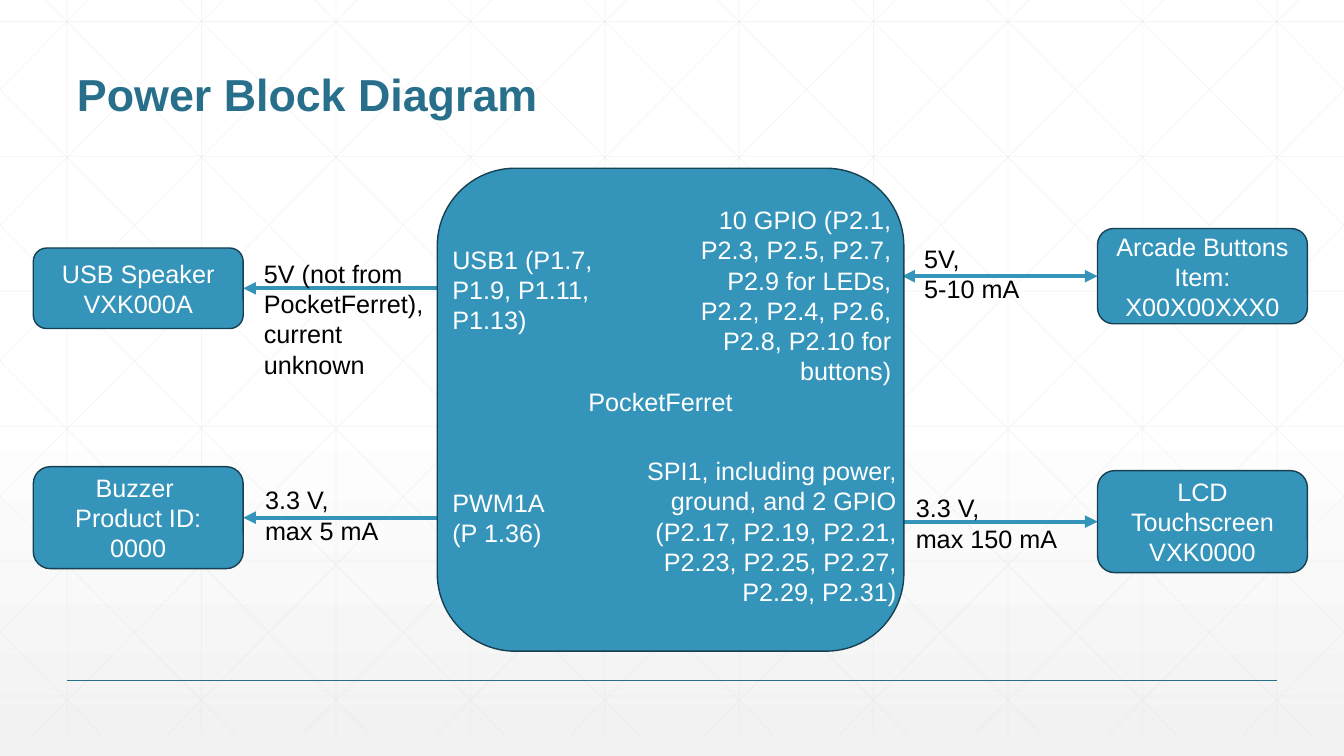
import pptx
import pptx.util
import pptx.dml.color
import pptx.enum.text
import pptx.enum.shapes
from lxml import etree

Cm, Pt = pptx.util.Cm, pptx.util.Pt
ALIGN = pptx.enum.text.PP_ALIGN
ANCHOR = pptx.enum.text.MSO_ANCHOR
ROUND = pptx.enum.shapes.MSO_SHAPE.ROUNDED_RECTANGLE
STRAIGHT = pptx.enum.shapes.MSO_CONNECTOR.STRAIGHT
NS = "http://schemas.openxmlformats.org/drawingml/2006/main"
WIDE, HIGH = 33.87, 19.05
BLUE, DARK, EDGE, GRID = "3494BA", "276F8B", "174152", "D9D9D9"
WHITE, BLACK = "FFFFFF", "000000"
BODY = {"name": "Arial", "size": Pt(18)}
HEAD = {"name": "Arial", "size": Pt(32), "bold": True}


def tint(text):
    return pptx.dml.color.RGBColor.from_string(text)


def style(item, values):
    for key, value in values.items():
        setattr(item, key, value)


def node(parent, tag, **values):
    return etree.SubElement(parent, f"{{{NS}}}{tag}", **values)


def write(shape, text, color, font=BODY, para=None, frame=None):
    style(shape.text_frame, {"word_wrap": True, "text": text, **(frame or {})})
    for item in shape.text_frame.paragraphs:
        style(item, para or {})
        for run in item.runs:
            style(run.font, font)
            run.font.color.rgb = tint(color)


def note(slide, box, text, color, **looks):
    shape = slide.shapes.add_textbox(*map(Cm, box))
    write(shape, text, color, **looks)


def line(slide, start, end, color, width, alpha=None, ends=()):
    item = slide.shapes.add_connector(STRAIGHT, *map(Cm, (*start, *end)))
    item.line.color.rgb = tint(color)
    item.line.width = Pt(width)
    stroke = item.line._get_or_add_ln()
    if alpha:
        for hue in stroke.iter(f"{{{NS}}}srgbClr"):
            node(hue, "alpha", val=str(alpha * 1000))
    for tip in ends:
        node(stroke, tip, type="triangle")
    node(item._element.spPr, "effectLst")


def panel(slide, box):
    shape = slide.shapes.add_shape(ROUND, *map(Cm, box))
    shape.shadow.inherit = False
    shape.fill.solid()
    shape.fill.fore_color.rgb = tint(BLUE)
    shape.line.color.rgb = tint(EDGE)
    shape.line.width = Pt(1)
    return shape


def backdrop(slide, box):
    left, top, wide, high = box
    fill = slide.background.fill
    fill.gradient()
    fill.gradient_angle = 270
    for stop, (place, color) in zip(fill.gradient_stops, ((0.53, WHITE), (1, "F2F2F2"))):
        stop.position = place
        stop.color.rgb = tint(color)

    def thread(ax, ay, bx, by):
        line(slide, (left + ax, top + ay), (left + bx, top + by), GRID, 0.5, 25)

    step, rise, slope = wide / 10, 0.53, 0.99
    for col in range(10):
        x = step * (col + 0.5)
        thread(x, 0, x, high)
    for row in range(6):
        y = 0.54 + 3.4 * row
        thread(0, y, wide, y)
    for col in range(-5, 10):
        base = 0.63 + step * col
        ya = max(0, -base / slope - rise)
        yb = min(high, (wide - base) / slope - rise)
        xa, xb = (base + slope * (y + rise) for y in (ya, yb))
        thread(xa, ya, xb, yb)
        thread(wide - xa, ya, wide - xb, yb)


def heading(slide, box):
    note(slide, box, "Power Block Diagram", DARK, font=HEAD,
         para={"line_spacing": 0.9}, frame={"vertical_anchor": ANCHOR.BOTTOM})


def footer(slide, box):
    left, top, wide, _ = box
    line(slide, (left, top), (left + wide, top), DARK, 1)


def device(slide, box, side, text, label, spot, ends):
    left, top, wide, high = box
    size, mid = 5.29, top + high / 2
    if side == "left":
        block, start, end = left, left + wide, left + size
    else:
        block, start, end = left + wide - size, left, left + wide - size
    line(slide, (start, mid), (end, mid), BLUE, 3, ends=ends)
    x, y, span, tall = spot
    note(slide, (left + x, top + y, span, tall), label, BLACK)
    write(panel(slide, (block, top, size, high)), text, WHITE,
          para={"alignment": ALIGN.CENTER}, frame={"vertical_anchor": ANCHOR.MIDDLE})


def board(slide, box):
    left, top, _, _ = box
    panel(slide, box)
    pins = (
        ((0.13, 1.78, 4.14, 2.57), "USB1 (P1.7, P1.9, P1.11, P1.13)", ALIGN.LEFT),
        ((0.13, 7.92, 3.07, 1.8), "PWM1A (P 1.36)", ALIGN.LEFT),
        ((3.56, 5.36, 4.67, 1.02), "PocketFerret", ALIGN.LEFT),
        ((5.59, 0.79, 6.1, 4.88), "10 GPIO (P2.1, P2.3, P2.5, P2.7, P2.9 for LEDs, "
         "P2.2, P2.4, P2.6, P2.8, P2.10 for buttons)", ALIGN.RIGHT),
        ((4.17, 7.11, 7.65, 4.11), "SPI1, including power, ground, and 2 GPIO "
         "(P2.17, P2.19, P2.21, P2.23, P2.25, P2.27, P2.29, P2.31)", ALIGN.RIGHT),
    )
    for (x, y, wide, high), text, align in pins:
        note(slide, (left + x, top + y, wide, high), text, WHITE,
             para={"alignment": align})


deck = pptx.Presentation()
style(deck, {"slide_width": Cm(WIDE), "slide_height": Cm(HIGH)})
slide = deck.slides.add_slide(deck.slide_layouts[6])
backdrop(slide, (0, 0, WIDE, 18.52))
footer(slide, (1.69, 17.14, 30.48, 0))
heading(slide, (1.69, 0.64, 30.48, 2.54))
ONE, BOTH = ("tailEnd",), ("headEnd", "tailEnd")
devices = (
    ((0.84, 6.25, 10.31, 2.03), "left", "USB Speaker\nVXK000A",
     "5V (not from PocketFerret), current \nunknown", (5.56, 0.13, 5.38, 3.33), ONE),
    ((0.84, 11.76, 10.31, 2.57), "left", "Buzzer \nProduct ID: 0000",
     "3.3 V,\nmax 5 mA", (5.59, 0.33, 5.38, 1.8), ONE),
    ((22.74, 5.76, 10.21, 2.4), "right", "Arcade Buttons\nItem: X00X00XXX0",
     "5V, \n5-10 mA", (0.3, 0.25, 5.38, 1.8), BOTH),
    ((22.74, 11.86, 10.21, 2.57), "right", "LCD Touchscreen\nVXK0000",
     "3.3 V,\nmax 150 mA", (0.09, 0.43, 5.84, 1.8), ONE),
)
for item in devices:
    device(slide, *item)
board(slide, (11.02, 4.24, 11.76, 12.17))
deck.save("out.pptx")
